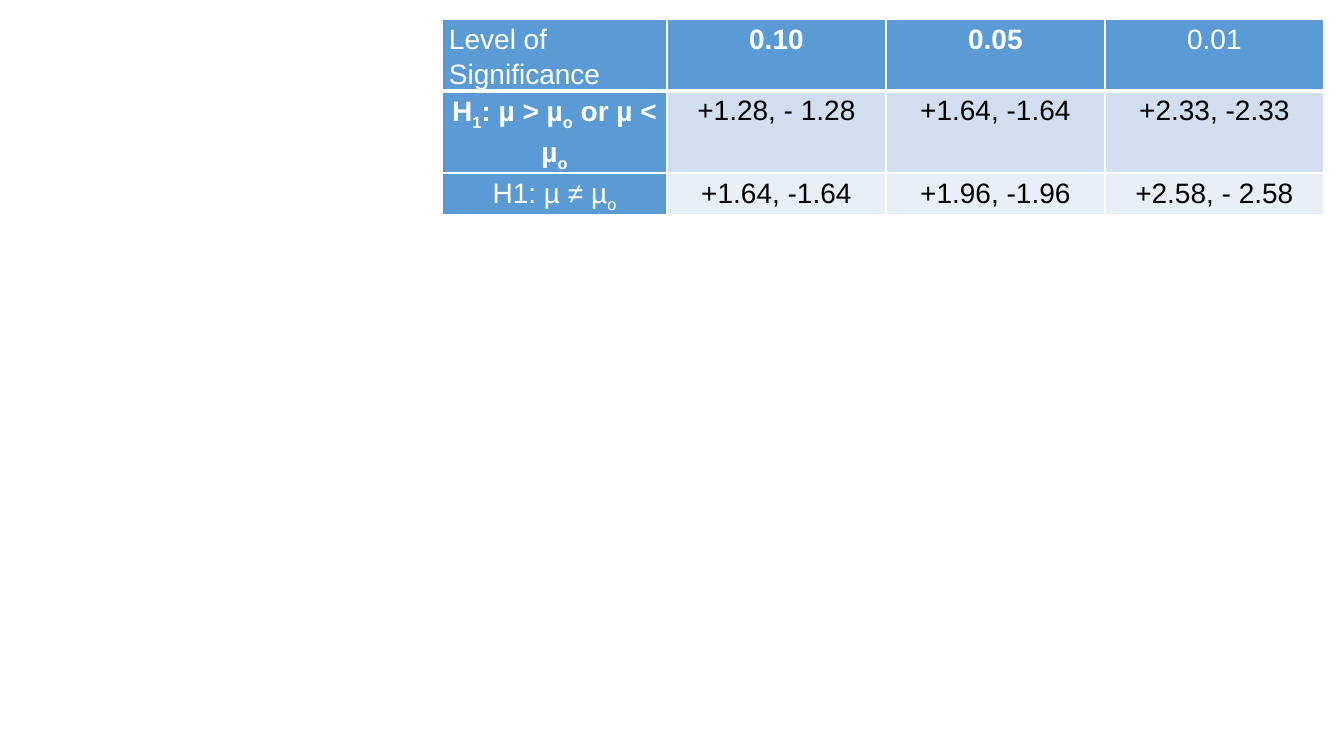
from lxml.etree import SubElement
from pptx import Presentation
from pptx.dml.color import RGBColor as RGB
from pptx.enum.text import PP_ALIGN as ALIGN
from pptx.oxml.ns import qn
from pptx.util import Pt

PX = 9525 * 20 / 21
COLORS = {
    "header": "5B9BD5",
    "one_sided": "D0DEEF",
    "two_sided": "E9EFF7",
    "light": "FFFFFF",
    "dark": "000000",
}
CRITICAL_VALUES = [
    ["Level of Significance", "0.10", "0.05", "0.01"],
    ["H|1|: µ > µ|o| or µ < µ|o", "+1.28, - 1.28", "+1.64, -1.64", "+2.33, -2.33"],
    ["H1: µ ≠ µ|o", "+1.64, -1.64", "+1.96, -1.96", "+2.58, - 2.58"],
]
ROW_FILLS = ["header", "one_sided", "two_sided"]
BOLD_CELLS = {(0, 1), (0, 2), (1, 0)}
COLUMN_WIDTHS = [225, 219, 219, 219]
ROW_HEIGHTS = [67, 67, 33]


def px(length):
    return round(length * PX)


def add_border(cell, side, points):
    line = SubElement(cell._tc.get_or_add_tcPr(), qn(f"a:ln{side}"), w=str(Pt(points)))
    fill = SubElement(line, qn("a:solidFill"))
    SubElement(fill, qn("a:srgbClr"), val=COLORS["light"])


def write_cell(cell, content, color, bold, align):
    cell.margin_left = cell.margin_right = px(7)
    cell.margin_top = cell.margin_bottom = 0
    paragraph = cell.text_frame.paragraphs[0]
    paragraph.alignment = align
    paragraph.line_spacing = 1.15
    for index, part in enumerate(content.split("|")):
        run = paragraph.add_run()
        run.text = part
        run.font.name = "Arial"
        run.font.size = Pt(20)
        run.font.bold = bold
        run.font.color.rgb = RGB.from_string(COLORS[color])
        if index % 2:
            run.font._element.set("baseline", "-25000")


def add_critical_values(slide, left, top):
    frame = slide.shapes.add_table(
        len(ROW_HEIGHTS), len(COLUMN_WIDTHS), px(left), px(top),
        px(sum(COLUMN_WIDTHS)), px(sum(ROW_HEIGHTS)))
    table = frame.table
    table.first_row = table.horz_banding = False
    for column, width in zip(table.columns, COLUMN_WIDTHS):
        column.width = px(width)
    for row, height in zip(table.rows, ROW_HEIGHTS):
        row.height = px(height)
    for r, values in enumerate(CRITICAL_VALUES):
        for c, content in enumerate(values):
            cell = table.cell(r, c)
            heading = r == 0 or c == 0
            write_cell(cell, content, "light" if heading else "dark",
                       (r, c) in BOLD_CELLS,
                       ALIGN.LEFT if r == c == 0 else ALIGN.CENTER)
            borders = {"L": 1, "R": 1, "T": 3 if r == 1 else 1, "B": 3 if r == 0 else 1}
            for side, points in borders.items():
                add_border(cell, side, points)
            cell.fill.solid()
            fill = "header" if heading else ROW_FILLS[r]
            cell.fill.fore_color.rgb = RGB.from_string(COLORS[fill])


def main():
    deck = Presentation()
    deck.slide_width, deck.slide_height = px(1344), px(756)
    slide = deck.slides.add_slide(deck.slide_layouts[6])
    add_critical_values(slide, 442, 19)
    deck.save("out.pptx")


if __name__ == "__main__":
    main()
